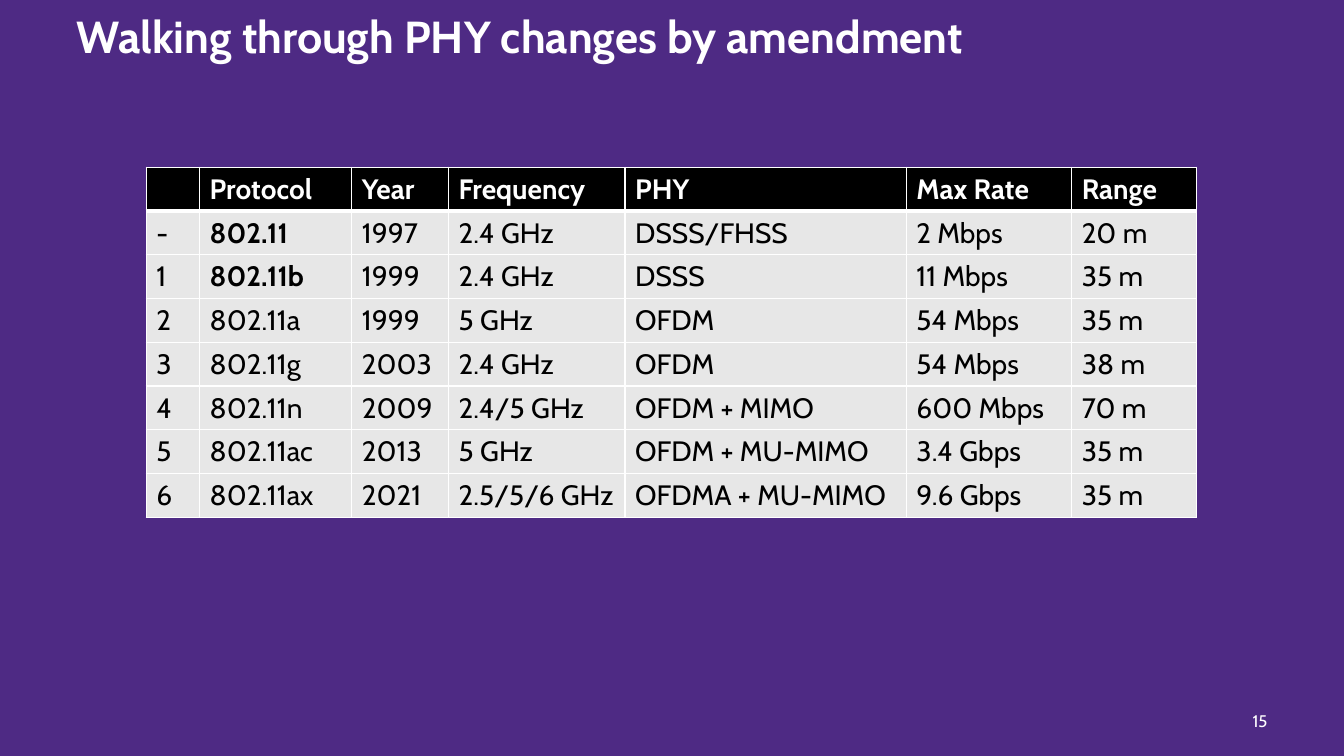
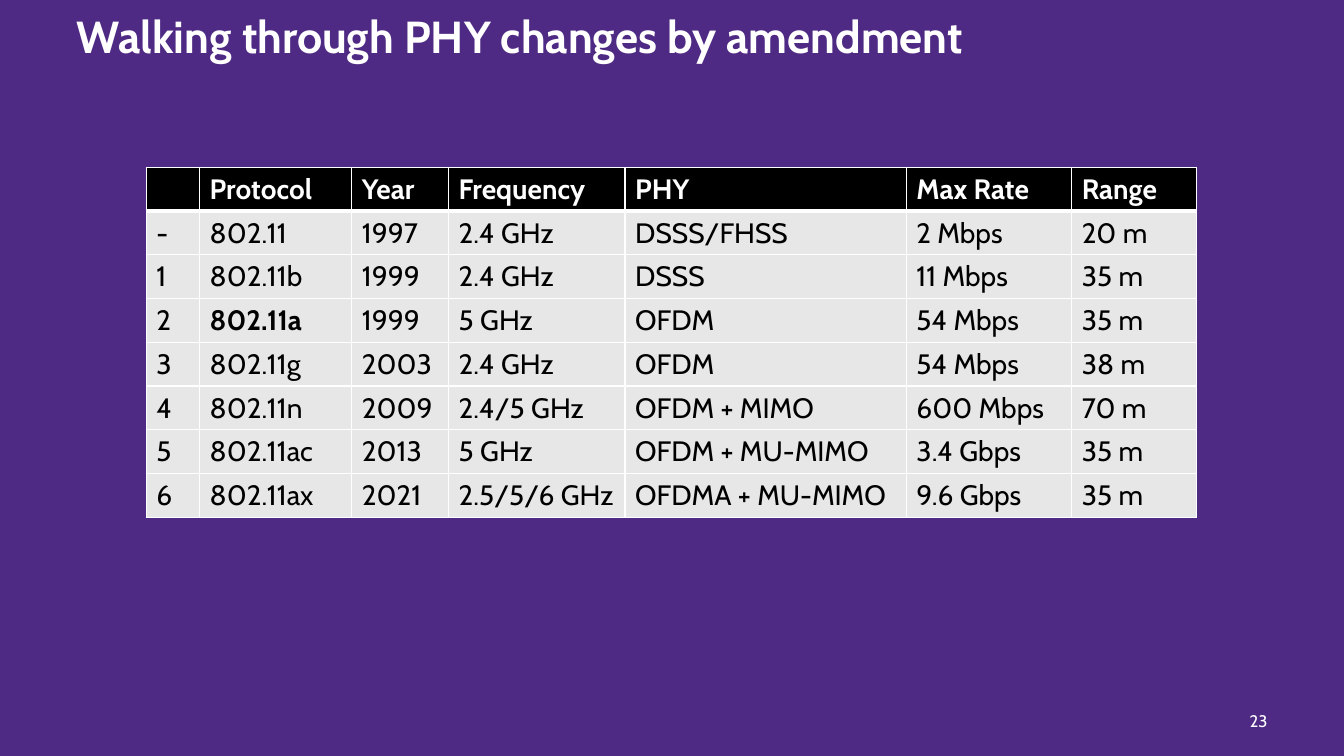
import dataclasses

import lxml.etree
import pptx
import pptx.dml.color
import pptx.enum.text
import pptx.oxml.ns
import pptx.slide
import pptx.table
import pptx.text.text
import pptx.util

EMU_PER_PX = 9144


@dataclasses.dataclass(frozen=True)
class Theme:
    font: str = "Cabin"
    background: str = "4E2A84"
    light: str = "FFFFFF"
    dark: str = "000000"
    body_fill: str = "E7E7E7"
    title_size: int = 32
    table_size: int = 20
    number_size: int = 12
    rule: int = 1
    header_rule: int = 3


@dataclasses.dataclass(frozen=True)
class Box:
    left: int
    top: int
    width: int
    height: int

    def emu(self) -> tuple[int, ...]:
        return tuple(px(length) for length in dataclasses.astuple(self))


@dataclasses.dataclass(frozen=True)
class AmendmentSlide:
    number: int
    highlighted: frozenset[str]


THEME = Theme()
SLIDE_SIZE = (1333, 750)
TITLE = "Walking through PHY changes by amendment"
TITLE_BOX = Box(66, 1, 1200, 75)
NUMBER_BOX = Box(1167, 695, 100, 40)
COLUMN_WIDTHS = (53, 151, 96, 175, 279, 164, 124)
ROW_HEIGHT = 41
TABLE_LEFT, TABLE_TOP = 145, 166

AMENDMENTS = (
    ("", "Protocol", "Year", "Frequency", "PHY", "Max Rate", "Range"),
    ("-", "802.11", "1997", "2.4 GHz", "DSSS/FHSS", "2 Mbps", "20 m"),
    ("1", "802.11b", "1999", "2.4 GHz", "DSSS", "11 Mbps", "35 m"),
    ("2", "802.11a", "1999", "5 GHz", "OFDM", "54 Mbps", "35 m"),
    ("3", "802.11g", "2003", "2.4 GHz", "OFDM", "54 Mbps", "38 m"),
    ("4", "802.11n", "2009", "2.4/5 GHz", "OFDM + MIMO", "600 Mbps", "70 m"),
    ("5", "802.11ac", "2013", "5 GHz", "OFDM + MU-MIMO", "3.4 Gbps", "35 m"),
    ("6", "802.11ax", "2021", "2.5/5/6 GHz", "OFDMA + MU-MIMO", "9.6 Gbps", "35 m"),
)

SLIDES = (
    AmendmentSlide(15, frozenset({"802.11", "802.11b"})),
    AmendmentSlide(23, frozenset({"802.11a"})),
)


def px(length: int) -> int:
    return pptx.util.Emu(length * EMU_PER_PX)


def rgb(color: str) -> pptx.dml.color.RGBColor:
    return pptx.dml.color.RGBColor.from_string(color)


def write(frame: pptx.text.text.TextFrame, text: str, size: int, color: str,
          bold: bool = False) -> pptx.text.text._Paragraph:
    frame.text = text
    paragraph = frame.paragraphs[0]
    font = paragraph.font
    font.name = THEME.font
    font.size = pptx.util.Pt(size)
    font.bold = bold
    font.color.rgb = rgb(color)
    return paragraph


def add_title(slide: pptx.slide.Slide) -> None:
    title = slide.shapes.title
    title.left, title.top, title.width, title.height = TITLE_BOX.emu()
    frame = title.text_frame
    frame.vertical_anchor = pptx.enum.text.MSO_ANCHOR.MIDDLE
    frame.auto_size = pptx.enum.text.MSO_AUTO_SIZE.NONE
    heading = write(frame, TITLE, THEME.title_size, THEME.light, bold=True)
    heading.alignment = pptx.enum.text.PP_ALIGN.LEFT
    heading.line_spacing = 0.9


def add_number(slide: pptx.slide.Slide, number: int) -> None:
    frame = slide.shapes.add_textbox(*NUMBER_BOX.emu()).text_frame
    frame.word_wrap = True
    frame.vertical_anchor = pptx.enum.text.MSO_ANCHOR.MIDDLE
    page = write(frame, str(number), THEME.number_size, THEME.light)
    page.alignment = pptx.enum.text.PP_ALIGN.RIGHT


def set_borders(cell: pptx.table._Cell, top: int, bottom: int) -> None:
    qn = pptx.oxml.ns.qn
    properties = cell._tc.get_or_add_tcPr()
    widths = {"a:lnL": THEME.rule, "a:lnR": THEME.rule, "a:lnT": top, "a:lnB": bottom}
    for position, (side, width) in enumerate(widths.items()):
        line = lxml.etree.Element(qn(side), w=str(pptx.util.Pt(width)))
        fill = lxml.etree.SubElement(line, qn("a:solidFill"))
        lxml.etree.SubElement(fill, qn("a:srgbClr"), val=THEME.light)
        properties.insert(position, line)


def add_amendments(slide: pptx.slide.Slide, highlighted: frozenset[str]) -> None:
    box = Box(TABLE_LEFT, TABLE_TOP, sum(COLUMN_WIDTHS), ROW_HEIGHT * len(AMENDMENTS))
    table = slide.shapes.add_table(len(AMENDMENTS), len(COLUMN_WIDTHS), *box.emu()).table
    table.horz_banding = False
    for column, width in zip(table.columns, COLUMN_WIDTHS):
        column.width = px(width)
    for row, values in enumerate(AMENDMENTS):
        header = row == 0
        for column, value in enumerate(values):
            cell = table.cell(row, column)
            cell.fill.solid()
            cell.fill.fore_color.rgb = rgb(THEME.dark if header else THEME.body_fill)
            write(cell.text_frame, value, THEME.table_size,
                  THEME.light if header else THEME.dark,
                  bold=header or value in highlighted)
            set_borders(cell,
                        top=THEME.header_rule if row == 1 else THEME.rule,
                        bottom=THEME.header_rule if header else THEME.rule)


def main() -> None:
    deck = pptx.Presentation()
    deck.slide_width, deck.slide_height = map(px, SLIDE_SIZE)
    background = deck.slide_master.background.fill
    background.solid()
    background.fore_color.rgb = rgb(THEME.background)
    title_only = deck.slide_layouts.get_by_name("Title Only")
    for content in SLIDES:
        slide = deck.slides.add_slide(title_only)
        add_title(slide)
        add_number(slide, content.number)
        add_amendments(slide, content.highlighted)
    deck.save("out.pptx")


if __name__ == "__main__":
    main()
